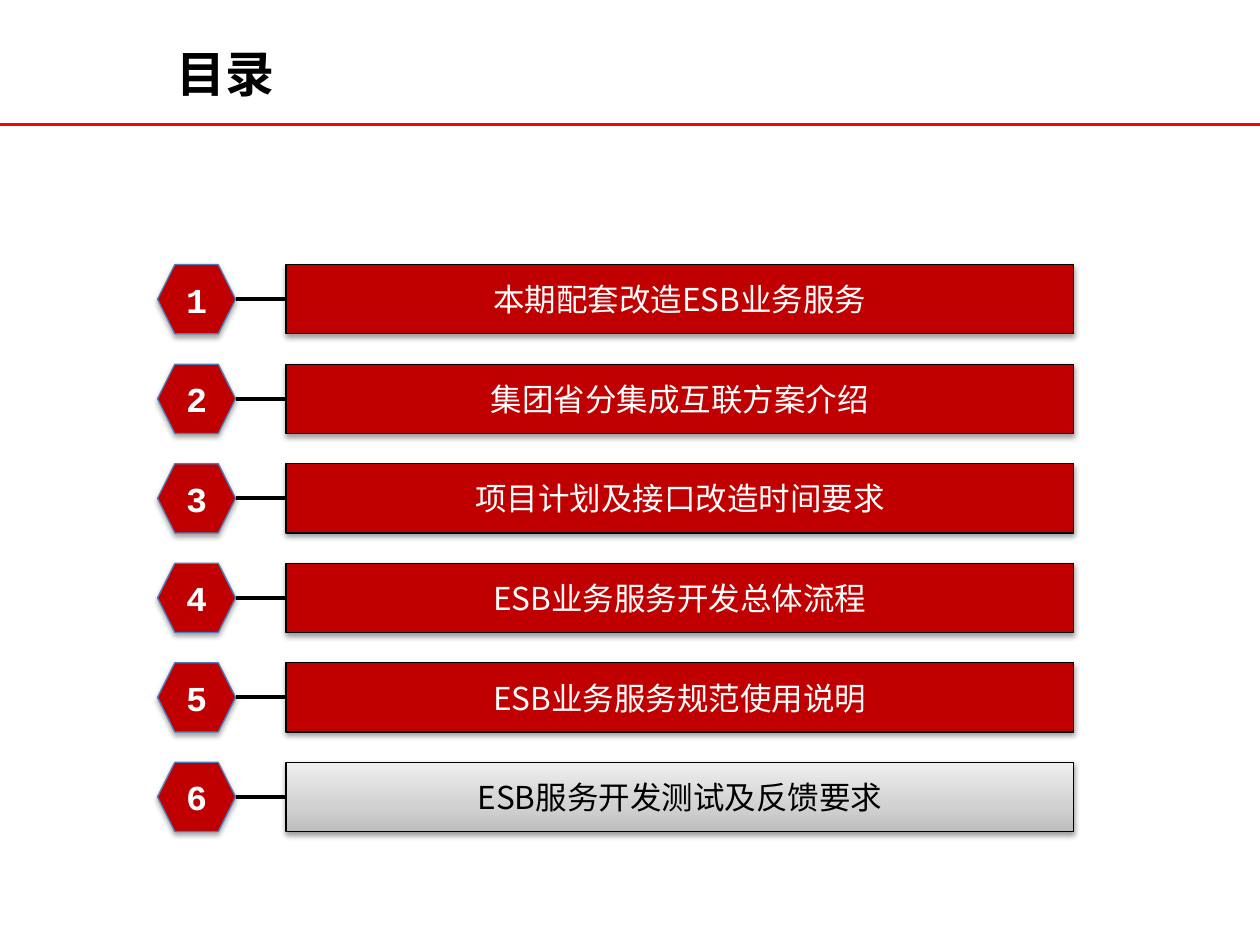
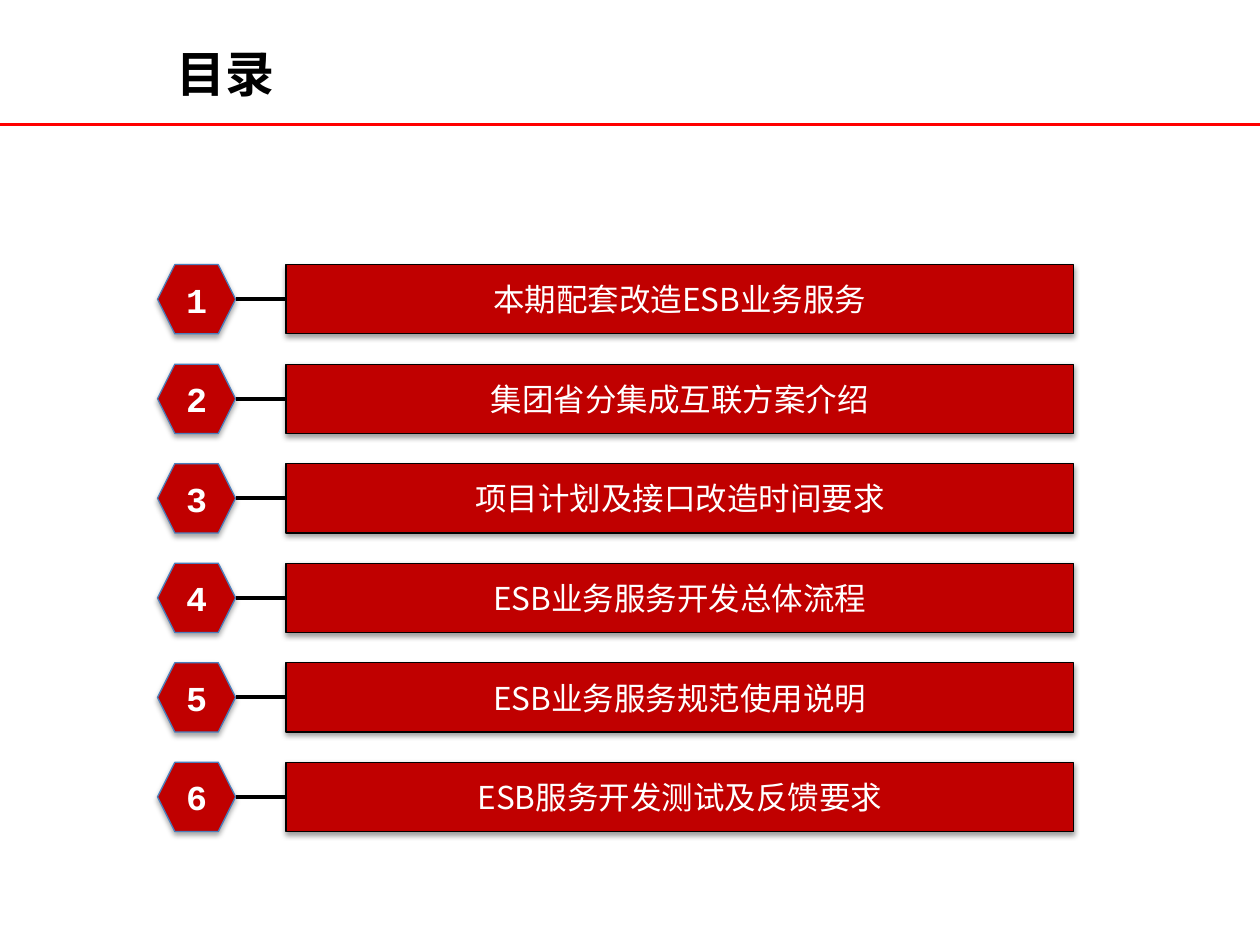
from lxml.etree import SubElement
from pptx import Presentation
from pptx.dml.color import RGBColor
from pptx.enum.shapes import MSO_CONNECTOR, MSO_SHAPE
from pptx.enum.text import MSO_ANCHOR, PP_ALIGN
from pptx.oxml.ns import qn
from pptx.util import Inches, Pt

BLACK = RGBColor(0x00, 0x00, 0x00)
WHITE = RGBColor(0xFF, 0xFF, 0xFF)
RULE_RED = RGBColor(0xFF, 0x00, 0x00)
DEEP_RED = RGBColor(0xC0, 0x00, 0x00)
BADGE_EDGE = RGBColor(0x4B, 0x7E, 0xBC)
# Gradient of the current chapter, from bottom to top
SILVER = [(0, RGBColor(0xBD, 0xBD, 0xBD)),
          (35, RGBColor(0xD1, 0xD1, 0xD1)),
          (100, RGBColor(0xEE, 0xEE, 0xEE))]

TITLE_FONT, NUMBER_FONT, CHAPTER_FONT = "DejaVu Sans", "Courier New", "Noto Sans CJK SC"

# Grid of the agenda, in inches
SLIDE_W, SLIDE_H = 10, 7.5
RULE_Y = 0.99
FIRST_ROW, ROW_PITCH, ROW_H = 2.1, 0.79, 0.55
BADGE_X, BADGE_W = 1.25, 0.62
BAR_X, BAR_W = 2.27, 6.25

CHAPTERS = [
    "本期配套改造ESB业务服务",
    "集团省分集成互联方案介绍",
    "项目计划及接口改造时间要求",
    "ESB业务服务开发总体流程",
    "ESB业务服务规范使用说明",
    "ESB服务开发测试及反馈要求",
]


def write(shape, text, font_name, size, color, bold=False,
          align=PP_ALIGN.CENTER, anchor=MSO_ANCHOR.MIDDLE):
    frame = shape.text_frame
    frame.text = text
    frame.vertical_anchor = anchor
    paragraph = frame.paragraphs[0]
    paragraph.alignment = align
    font = paragraph.runs[0].font
    font.name, font.size, font.bold = font_name, Pt(size), bold
    font.color.rgb = color
    SubElement(font._element, qn("a:ea"), typeface=font_name)


def add_rule(slide, start_x, end_x, y, color, width):
    rule = slide.shapes.add_connector(
        MSO_CONNECTOR.STRAIGHT, Inches(start_x), Inches(y), Inches(end_x), Inches(y))
    rule.line.color.rgb = color
    rule.line.width = Pt(width)
    SubElement(rule.element.spPr, qn("a:effectLst"))
    return rule


def add_panel(slide, kind, left, top, width, edge, shadow_alpha, shadow_distance):
    """Red block with a thin edge and a soft shadow below it."""
    panel = slide.shapes.add_shape(
        kind, Inches(left), Inches(top), Inches(width), Inches(ROW_H))
    panel.fill.solid()
    panel.fill.fore_color.rgb = DEEP_RED
    panel.line.color.rgb = edge
    panel.line.width = Pt(0.75)
    panel.shadow.inherit = False
    effects = panel.element.spPr.find(qn("a:effectLst"))
    shadow = SubElement(effects, qn("a:outerShdw"), blurRad=str(Pt(3.1)),
                        dist=str(Pt(shadow_distance)), dir="5400000", rotWithShape="0")
    tint = SubElement(shadow, qn("a:srgbClr"), val=str(BLACK))
    SubElement(tint, qn("a:alpha"), val=str(shadow_alpha * 1000))
    return panel


def fill_silver(bar):
    bar.fill.gradient()
    bar.fill.gradient_angle = 90
    stops = bar.element.spPr.find(qn("a:gradFill")).find(qn("a:gsLst"))
    for stop in list(stops):
        stops.remove(stop)
    for position, color in SILVER:
        stop = SubElement(stops, qn("a:gs"), pos=str(position * 1000))
        SubElement(stop, qn("a:srgbClr"), val=str(color))


def add_chapter(slide, number, chapter, is_current):
    top = FIRST_ROW + (number - 1) * ROW_PITCH
    badge = add_panel(slide, MSO_SHAPE.HEXAGON, BADGE_X, top, BADGE_W, BADGE_EDGE, 35, 1.8)
    badge.text_frame.margin_left = badge.text_frame.margin_right = 0
    write(badge, str(number), NUMBER_FONT, 20, WHITE, bold=True)

    bar = add_panel(slide, MSO_SHAPE.RECTANGLE, BAR_X, top, BAR_W, BLACK, 38, 1.6)
    if is_current:
        fill_silver(bar)
    write(bar, chapter, CHAPTER_FONT, 18, BLACK if is_current else WHITE)

    add_rule(slide, BADGE_X + BADGE_W, BAR_X, top + ROW_H / 2, BLACK, 2.25)


def add_agenda(prs, layout, current=None):
    slide = prs.slides.add_slide(layout)
    title = slide.shapes.title
    title.left, title.top = Inches(1.3), Inches(0.13)
    title.width, title.height = Inches(6.77), Inches(0.73)
    write(title, "目录", TITLE_FONT, 28, BLACK, bold=True,
          align=PP_ALIGN.LEFT, anchor=MSO_ANCHOR.BOTTOM)
    for number, chapter in enumerate(CHAPTERS, start=1):
        add_chapter(slide, number, chapter, number == current)
    return slide


def main():
    prs = Presentation()
    prs.slide_width, prs.slide_height = Inches(SLIDE_W), Inches(SLIDE_H)
    layout = prs.slide_layouts.get_by_name("Title Only")

    # Agenda with the last chapter marked, then the plain agenda
    marked_agenda = add_agenda(prs, layout, current=6)
    add_agenda(prs, layout)

    # The red rule under the title moves to the layout that both slides share
    title_rule = add_rule(marked_agenda, 0, SLIDE_W, RULE_Y, RULE_RED, 2)
    layout.element.cSld.spTree.append(title_rule.element)

    prs.save("out.pptx")


if __name__ == "__main__":
    main()
